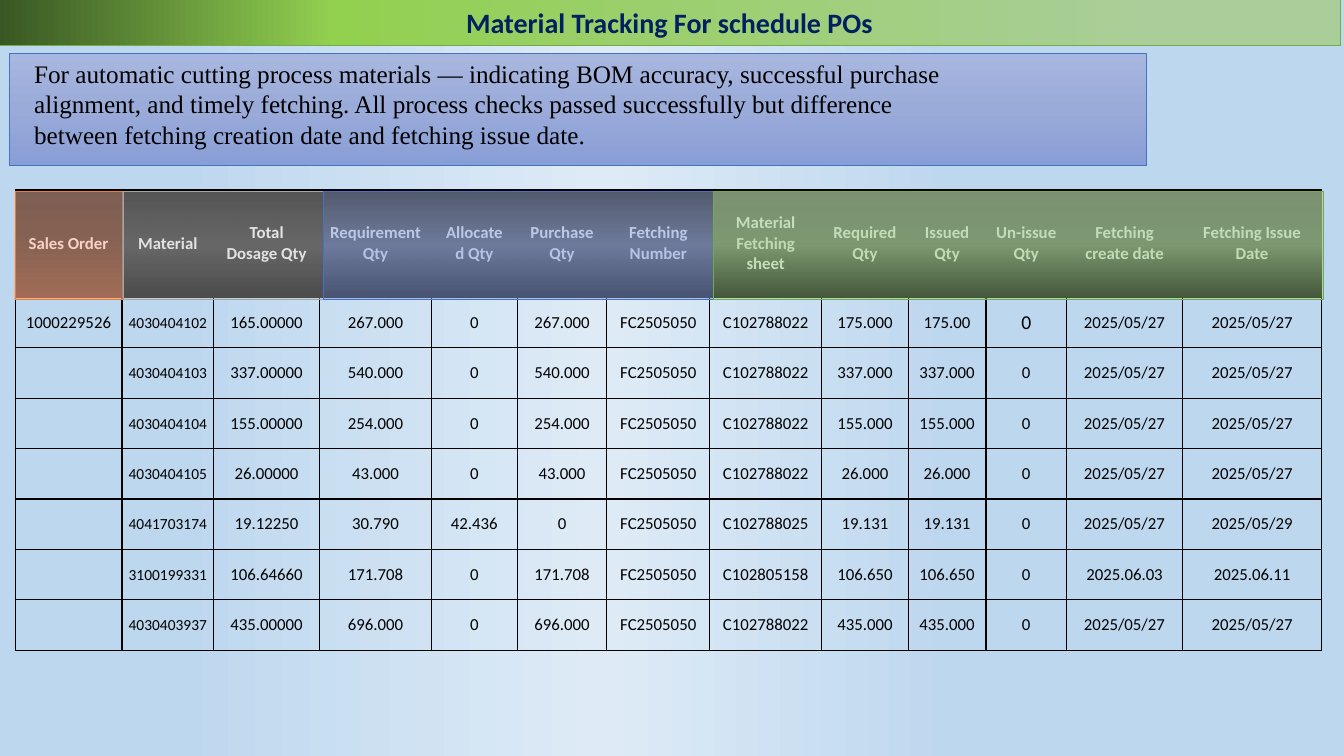
"""Build the material tracking slide for scheduled purchase orders."""
from dataclasses import astuple, dataclass
from itertools import accumulate

from lxml import etree
from pptx import Presentation
from pptx.dml.color import RGBColor
from pptx.enum.shapes import MSO_SHAPE
from pptx.enum.text import MSO_ANCHOR, MSO_AUTO_SIZE, PP_ALIGN
from pptx.oxml.ns import qn
from pptx.util import Inches, Pt

RECTANGLE = MSO_SHAPE.RECTANGLE
MIDDLE = MSO_ANCHOR.MIDDLE
TOP = MSO_ANCHOR.TOP
FIT_SHAPE = MSO_AUTO_SIZE.SHAPE_TO_FIT_TEXT
NO_FIT = MSO_AUTO_SIZE.NONE
CENTER = PP_ALIGN.CENTER
LEFT = PP_ALIGN.LEFT

GRID_COLUMNS, GRID_ROWS = 1333, 750
SLIDE_WIDTH, SLIDE_HEIGHT = Inches(13.33), Inches(7.5)
TITLE_ONLY = 5


@dataclass(frozen=True)
class Theme:
    """Colours, fonts and type sizes of the slide."""
    black: str = "000000"
    white: str = "FFFFFF"
    navy: str = "002060"
    gray: str = "A5A5A5"
    blue: str = "4472C4"
    green: str = "70AD47"
    orange: str = "ED7D31"
    sans: str = "Calibri"
    serif: str = "Times New Roman"
    title: int = 20
    summary: int = 18
    large_cell: int = 14
    cell: int = 12
    small_cell: int = 11
    border: float = 1
    outline: float = 0.5


THEME = Theme()


@dataclass(frozen=True)
class Area:
    """A rectangle counted in grid columns and rows."""
    left: int
    top: int
    width: int
    height: int

    def lengths(self) -> tuple[int, int, int, int]:
        """Return the rectangle as slide lengths."""
        return across(self.left), down(self.top), across(self.width), down(self.height)


@dataclass(frozen=True)
class Stop:
    """One gradient stop, with position and opacity in percent."""
    position: int
    color: str
    opacity: int = 100


@dataclass(frozen=True)
class HeaderBand:
    """A translucent tint over a group of header cells."""
    width: int
    outline: str
    stops: tuple[Stop, ...]


@dataclass(frozen=True)
class MaterialRow:
    """One material of the sales order, in table column order."""
    order: str
    material: str
    dosage: str
    requirement: str
    allocated: str
    purchase: str
    fetching: str
    sheet: str
    required: str
    issued: str
    unissued: str
    created: str
    issue_date: str


FETCHING, SHEET, MAY_27 = "FC2505050", "C102788022", "2025/05/27"
TITLE_AREA = Area(-1, -1, 1330, 46)
SUMMARY_PANEL = Area(9, 53, 1128, 111)
SUMMARY_AREA = Area(24, 53, 959, 101)
TABLE_AREA = Area(15, 188, 1296, 457)
BAND_TOP, HEADER_HEIGHT, ROW_HEIGHT = 190, 107, 50
COLUMN_WIDTHS = (106, 91, 105, 111, 85, 89, 102, 111, 86, 77, 80, 115, 138)
MATERIAL_COLUMN, UNISSUED_COLUMN = 1, 10

TITLE = "Material Tracking For schedule POs"
SUMMARY = ("For automatic cutting process materials — indicating BOM accuracy, successful "
           "purchase alignment, and timely fetching. All process checks passed successfully "
           "but difference between fetching creation date and fetching issue date.")
HEADINGS = ("Sales Order", "Material", "Total Dosage Qty", "Requirement\nQty", "Allocated Qty",
            "Purchase Qty", "Fetching Number", "Material Fetching sheet", "Required Qty",
            "Issued Qty", "Un-issue Qty", "Fetching create date", "Fetching Issue Date")
MATERIALS = (
    MaterialRow("1000229526", "4030404102", "165.00000", "267.000", "0", "267.000",
                FETCHING, SHEET, "175.000", "175.00", "0", MAY_27, MAY_27),
    MaterialRow("", "4030404103", "337.00000", "540.000", "0", "540.000",
                FETCHING, SHEET, "337.000", "337.000", "0", MAY_27, MAY_27),
    MaterialRow("", "4030404104", "155.00000", "254.000", "0", "254.000",
                FETCHING, SHEET, "155.000", "155.000", "0", MAY_27, MAY_27),
    MaterialRow("", "4030404105", "26.00000", "43.000", "0", "43.000",
                FETCHING, SHEET, "26.000", "26.000", "0", MAY_27, MAY_27),
    MaterialRow("", "4041703174", "19.12250", "30.790", "42.436", "0",
                FETCHING, "C102788025", "19.131", "19.131", "0", MAY_27, "2025/05/29"),
    MaterialRow("", "3100199331", "106.64660", "171.708", "0", "171.708",
                FETCHING, "C102805158", "106.650", "106.650", "0", "2025.06.03", "2025.06.11"),
    MaterialRow("", "4030403937", "435.00000", "696.000", "0", "696.000",
                FETCHING, SHEET, "435.000", "435.000", "0", MAY_27, MAY_27),
)

BACKDROP_STOPS = (Stop(29, "BDD7EE"), Stop(55, "DEEBF7"), Stop(87, "BDD7EE"))
TITLE_STOPS = (Stop(13, "AACE9A"), Stop(75, "92D050"), Stop(100, "385723"))
PANEL_STOPS = (Stop(0, "A8B7DF"), Stop(50, "9AABD9"), Stop(100, "889ED7"))
HEADER_BANDS = (
    HeaderBand(107, THEME.orange,
               (Stop(0, "F7BDA5", 50), Stop(50, "F5B196", 56), Stop(100, "F8A582", 66))),
    HeaderBand(199, THEME.gray,
               (Stop(0, "D2D2D2", 40), Stop(50, "C8C8C8", 52), Stop(100, "C0C0C0", 39))),
    HeaderBand(387, THEME.blue,
               (Stop(0, "A8B7DF", 49), Stop(50, "9AABD9", 72), Stop(100, "889ED7", 52))),
    HeaderBand(605, THEME.green,
               (Stop(0, "B5D5A7", 68), Stop(50, "AACE9A", 74), Stop(100, "9CC987", 42))),
)


def across(columns: int) -> int:
    """Convert grid columns to a slide length."""
    return round(SLIDE_WIDTH * columns / GRID_COLUMNS)


def down(rows: int) -> int:
    """Convert grid rows to a slide length."""
    return round(SLIDE_HEIGHT * rows / GRID_ROWS)


def apply_gradient(owner, fill, stops: tuple[Stop, ...], angle: int) -> None:
    """Give a slide or shape a linear gradient with a clockwise angle."""
    fill.gradient()
    gradient = next(owner.element.iter(qn("a:gradFill")))
    gradient.find(qn("a:lin")).set("ang", str(angle * 60000))
    stop_list = gradient.find(qn("a:gsLst"))
    for default_stop in list(stop_list):
        stop_list.remove(default_stop)
    for stop in stops:
        entry = etree.SubElement(stop_list, qn("a:gs"), pos=str(stop.position * 1000))
        color = etree.SubElement(entry, qn("a:srgbClr"), val=stop.color)
        if stop.opacity < 100:
            etree.SubElement(color, qn("a:alpha"), val=str(stop.opacity * 1000))


def style_panel(panel, stops: tuple[Stop, ...], angle: int, outline: str) -> None:
    """Fill and outline a panel without a shadow."""
    panel.shadow.inherit = False
    apply_gradient(panel, panel.fill, stops, angle)
    panel.line.color.rgb = RGBColor.from_string(outline)
    panel.line.width = Pt(THEME.outline)


def write(frame, wording: str, size: int, color: str, font: str = THEME.sans,
          bold: bool = False, align=CENTER) -> None:
    """Set the wording of a text frame and format its runs."""
    frame.text = wording
    for paragraph in frame.paragraphs:
        paragraph.alignment = align
        for run in paragraph.runs:
            run.font.name, run.font.size, run.font.bold = font, Pt(size), bold
            run.font.color.rgb = RGBColor.from_string(color)


def add_panel(slide, area: Area, stops: tuple[Stop, ...], outline: str) -> None:
    """Add a rectangle shaded from top to bottom."""
    style_panel(slide.shapes.add_shape(RECTANGLE, *area.lengths()), stops, 90, outline)


def add_borders(cell) -> None:
    """Draw all four borders of a table cell."""
    properties = cell._tc.get_or_add_tcPr()
    for side in ("a:lnL", "a:lnR", "a:lnT", "a:lnB"):
        border = etree.SubElement(properties, qn(side), w=str(Pt(THEME.border)))
        solid = etree.SubElement(border, qn("a:solidFill"))
        etree.SubElement(solid, qn("a:srgbClr"), val=THEME.black)


def cell_size(row: int, column: int) -> int:
    """Return the type size of a table cell."""
    if row and column == MATERIAL_COLUMN:
        return THEME.small_cell
    return THEME.large_cell if (row, column) == (1, UNISSUED_COLUMN) else THEME.cell


def fill_cell(cell, wording: str, row: int, column: int) -> None:
    """Write and format one table cell."""
    add_borders(cell)
    cell.vertical_anchor = MIDDLE
    if row == 0:
        cell.fill.solid()
        cell.fill.fore_color.rgb = RGBColor.from_string(THEME.black)
    else:
        cell.fill.background()
        if column == MATERIAL_COLUMN:
            cell.margin_left = cell.margin_right = cell.margin_top = Inches(0.01)
            cell.margin_bottom = 0
    write(cell.text_frame, wording, cell_size(row, column),
          THEME.black if row else THEME.white, bold=row == 0)


def add_tracking_table(slide) -> None:
    """Add the table of materials and the tints over its header."""
    records = (HEADINGS, *map(astuple, MATERIALS))
    tracking = slide.shapes.add_table(len(records), len(HEADINGS), *TABLE_AREA.lengths()).table
    tracking.first_row = tracking.horz_banding = False
    for column, width in zip(tracking.columns, COLUMN_WIDTHS):
        column.width = across(width)
    for row, record in enumerate(records):
        tracking.rows[row].height = down(ROW_HEIGHT if row else HEADER_HEIGHT)
        for column, wording in enumerate(record):
            fill_cell(tracking.cell(row, column), wording, row, column)
    band_lefts = accumulate((band.width for band in HEADER_BANDS), initial=TABLE_AREA.left)
    for band, left in zip(HEADER_BANDS, band_lefts):
        add_panel(slide, Area(left, BAND_TOP, band.width, HEADER_HEIGHT), band.stops, band.outline)


def add_title(slide) -> None:
    """Turn the title placeholder into the banner."""
    banner = slide.shapes.title
    banner.left, banner.top, banner.width, banner.height = TITLE_AREA.lengths()
    style_panel(banner, TITLE_STOPS, 180, THEME.green)
    banner.text_frame.auto_size = NO_FIT
    banner.text_frame.vertical_anchor = MIDDLE
    write(banner.text_frame, TITLE, THEME.title, THEME.navy, bold=True)


def add_summary(slide) -> None:
    """Add the summary text on its panel."""
    add_panel(slide, SUMMARY_PANEL, PANEL_STOPS, THEME.blue)
    frame = slide.shapes.add_textbox(*SUMMARY_AREA.lengths()).text_frame
    frame.word_wrap = True
    frame.auto_size = FIT_SHAPE
    frame.vertical_anchor = TOP
    write(frame, SUMMARY, THEME.summary, THEME.black, THEME.serif, align=LEFT)


def main() -> None:
    """Build and save the presentation."""
    deck = Presentation()
    deck.slide_width, deck.slide_height = SLIDE_WIDTH, SLIDE_HEIGHT
    slide = deck.slides.add_slide(deck.slide_layouts[TITLE_ONLY])
    apply_gradient(slide, slide.background.fill, BACKDROP_STOPS, 180)
    add_tracking_table(slide)
    add_title(slide)
    add_summary(slide)
    deck.save("out.pptx")


if __name__ == "__main__":
    main()
